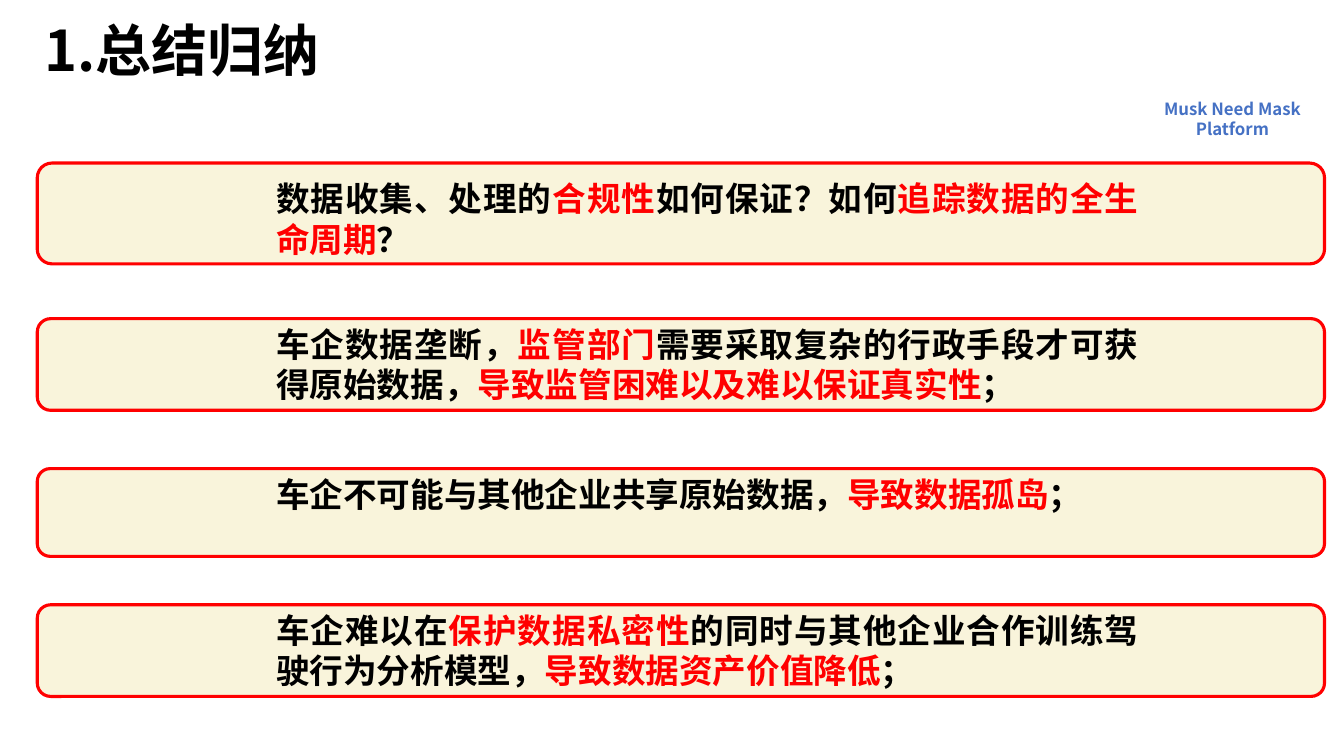
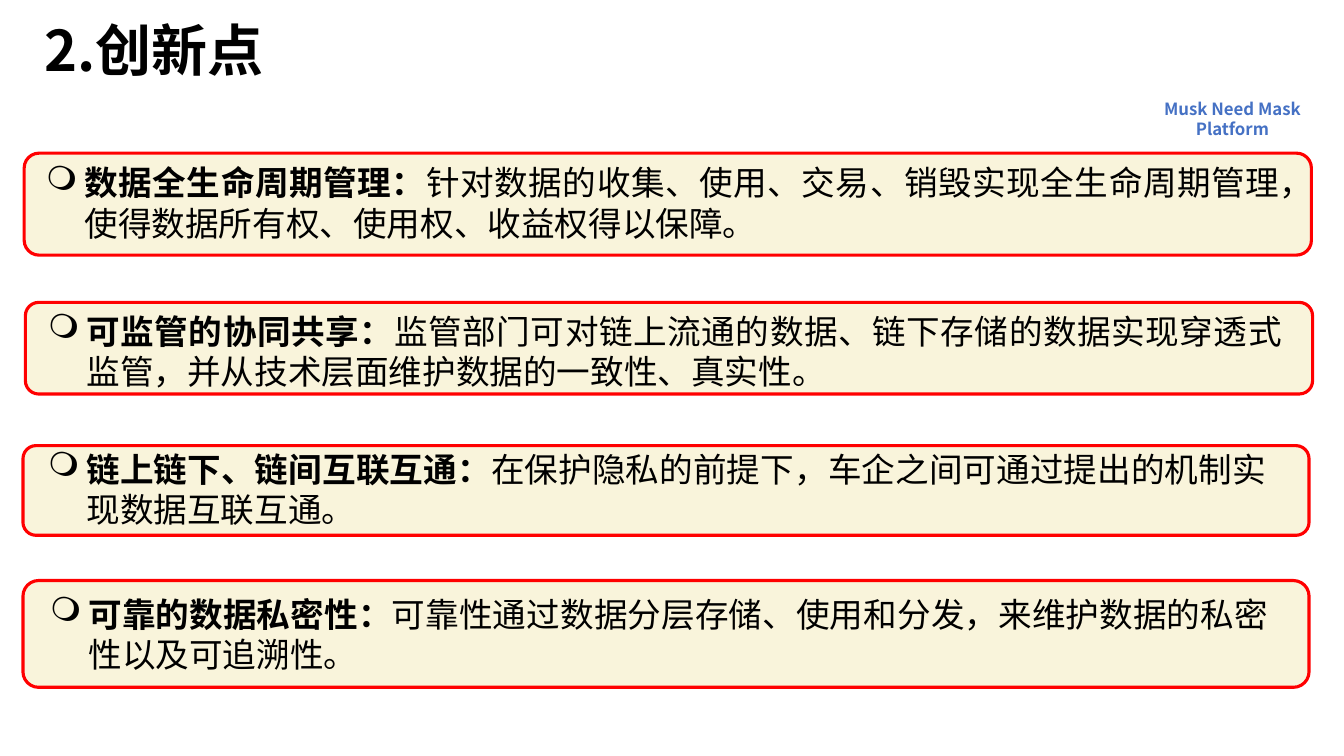
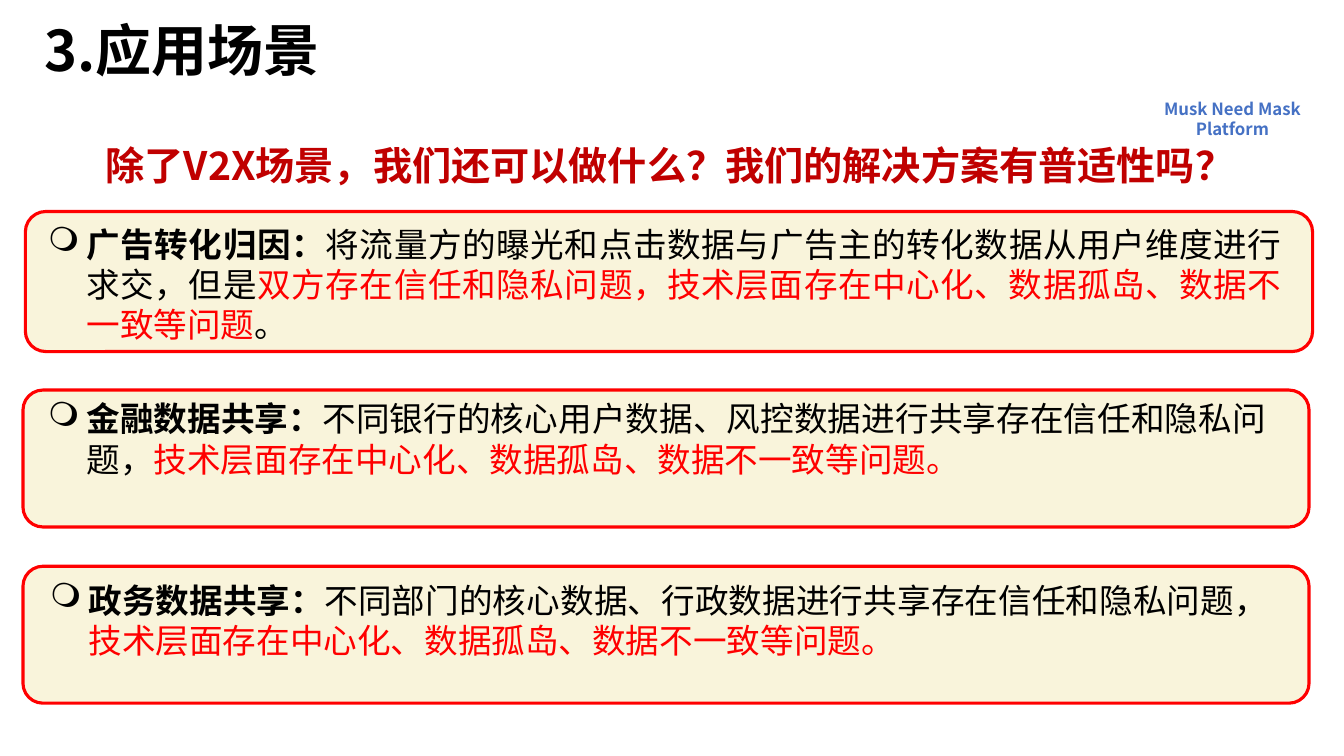
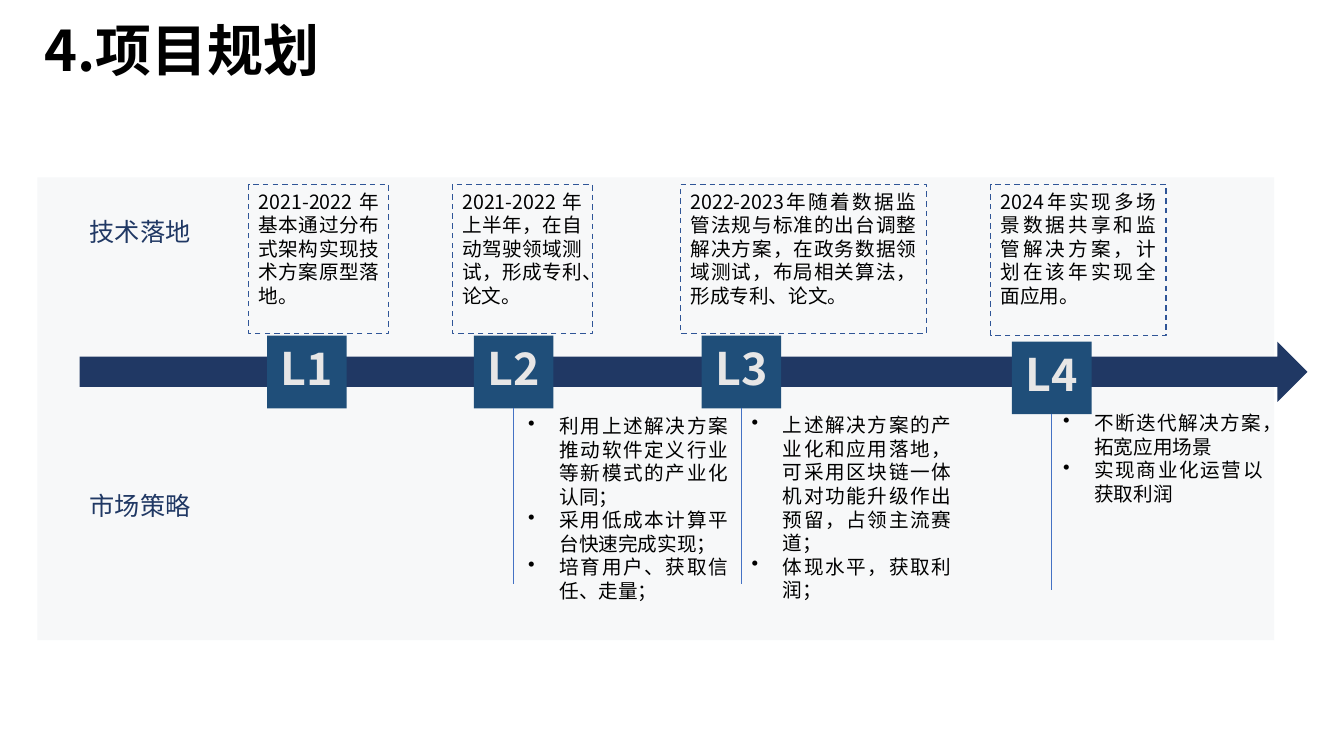
import dataclasses

import lxml.etree
import pptx
import pptx.dml.color
import pptx.enum.dml
import pptx.enum.shapes
import pptx.enum.text
import pptx.oxml.ns
import pptx.util

Cm = pptx.util.Cm
Pt = pptx.util.Pt
qn = pptx.oxml.ns.qn
ALIGN = pptx.enum.text.PP_ALIGN
ANCHOR = pptx.enum.text.MSO_ANCHOR
FIT = pptx.enum.text.MSO_AUTO_SIZE
PRESET = pptx.enum.shapes.MSO_SHAPE


@dataclasses.dataclass(frozen=True)
class Theme:
    font: str = "Noto Sans CJK SC"
    ink: str = "000000"
    alert: str = "FF0000"
    heading: str = "C00000"
    tag: str = "4571C4"
    card: str = "F9F4DB"
    panel: str = "F7F8F9"
    navy: str = "203864"
    milestone: str = "1F4E79"
    milestone_text: str = "E7E6E6"
    dash: str = "2F5597"
    stem: str = "4472C4"
    title_size: int = 40
    milestone_size: int = 32
    heading_size: int = 28
    body_size: int = 24
    label_size: int = 18
    note_size: int = 14
    tag_size: int = 12


THEME = Theme()
STYLES = {
    "title": (THEME.title_size, True, THEME.ink),
    "tag": (THEME.tag_size, True, THEME.tag),
    "heading": (THEME.heading_size, True, THEME.heading),
    "strong": (THEME.body_size, True, THEME.ink),
    "strong_alert": (THEME.body_size, True, THEME.alert),
    "body": (THEME.body_size, False, THEME.ink),
    "body_alert": (THEME.body_size, False, THEME.alert),
    "label": (THEME.label_size, False, THEME.navy),
    "note": (THEME.note_size, False, THEME.ink),
    "milestone": (THEME.milestone_size, True, THEME.milestone_text),
}
JUSTIFIED = {"alignment": ALIGN.JUSTIFY}
CENTERED = {"alignment": ALIGN.CENTER}


def rgb(colour):
    return pptx.dml.color.RGBColor.from_string(colour)


def apply(target, values):
    for name, value in values.items():
        setattr(target, name, value)


def set_indent(para, left, first=0.0, bullet=None):
    properties = para._p.get_or_add_pPr()
    properties.set("marL", str(Cm(left)))
    properties.set("indent", str(Cm(first)))
    if bullet:
        lxml.etree.SubElement(properties, qn("a:buChar")).set("char", bullet)


def add_span(para, text, style):
    size, bold, colour = STYLES[style]
    span = para.add_run()
    span.text = text
    apply(span.font, {"size": Pt(size), "bold": bold, "name": THEME.font})
    span.font.color.rgb = rgb(colour)
    east_asian = lxml.etree.SubElement(span._r.get_or_add_rPr(), qn("a:ea"))
    east_asian.set("typeface", THEME.font)


def write(box, paragraphs, para_format=None, indent=None, **frame_format):
    frame = box.text_frame
    apply(frame, {"word_wrap": True, "vertical_anchor": ANCHOR.TOP, **frame_format})
    for index, spans in enumerate(paragraphs):
        para = frame.add_paragraph() if index else frame.paragraphs[0]
        apply(para, para_format or {})
        if indent:
            set_indent(para, *indent)
        for text, style in spans:
            add_span(para, text, style)


def add_text(page, area, paragraphs, **formats):
    box = page.shapes.add_textbox(*map(Cm, area))
    write(box, paragraphs, **formats)
    return box


def add_block(page, preset, area, fill=None, line=None, width=1.0):
    block = page.shapes.add_shape(preset, *map(Cm, area))
    block.shadow.inherit = False
    if fill:
        block.fill.solid()
        block.fill.fore_color.rgb = rgb(fill)
    else:
        block.fill.background()
    if line:
        block.line.color.rgb = rgb(line)
        block.line.width = Pt(width)
    else:
        block.line.fill.background()
    return block


def add_card(page, area):
    card = add_block(page, PRESET.ROUNDED_RECTANGLE, area, THEME.card, THEME.alert, 2.25)
    card.adjustments[0] = 0.146


def add_bullet_card(page, card_area, text_area, spans):
    add_card(page, card_area)
    add_text(page, text_area, [spans], para_format=JUSTIFIED,
             indent=(1.55, -0.97, "❍"), auto_size=FIT.SHAPE_TO_FIT_TEXT)


def add_page(deck, title, tagged=True):
    page = deck.slides.add_slide(deck.slide_layouts[6])
    add_text(page, (0.94, 0.66, 24.03, 1.37), [[(title, "title")]],
             para_format={"line_spacing": 0.9}, vertical_anchor=ANCHOR.MIDDLE,
             margin_left=Cm(0.18), margin_right=Cm(0.18),
             margin_top=Cm(0.1), margin_bottom=Cm(0.1))
    if tagged:
        add_text(page, (28.24, 2.36, 5.64, 0.76), [[("Musk Need Mask Platform", "tag")]],
                 para_format=CENTERED, auto_size=FIT.SHAPE_TO_FIT_TEXT)
    return page


def add_milestone(page, name, left, top):
    box = add_block(page, PRESET.RECTANGLE, (left, top, 2.01, 1.83), THEME.milestone)
    write(box, [[(name, "milestone")]], para_format=CENTERED)
    return box


def add_note(page, area, text):
    box = add_block(page, PRESET.RECTANGLE, area, line=THEME.dash)
    box.line.dash_style = pptx.enum.dml.MSO_LINE.DASH
    write(box, [[(text, "note")]], para_format=JUSTIFIED)


def add_stem(page, milestone):
    middle = milestone.left + milestone.width // 2
    bottom = milestone.top + milestone.height
    stem = page.shapes.add_connector(pptx.enum.shapes.MSO_CONNECTOR.STRAIGHT,
                                     middle, bottom, middle, bottom + Cm(4.42))
    stem.begin_connect(milestone, 2)
    stem.line.color.rgb = rgb(THEME.stem)
    stem.line.width = Pt(0.5)
    lxml.etree.SubElement(stem._element.spPr, qn("a:effectLst"))


def add_summary(deck):
    page = add_page(deck, "1.总结归纳")
    cards = [
        (4.11, 2.54, 4.37, True, ["数据收集、处理的", "合规性", "如何保证？如何", "追踪数据的全生命周期", "？"]),
        (8.03, 2.31, 8.03, True, ["车企数据垄断，", "监管部门", "需要采取复杂的行政手段才可获得原始数据，",
                                  "导致监管困难以及难以保证真实性", "；"]),
        (11.81, 2.21, 11.81, False, ["车企不可能与其他企业共享原始数据，", "导致数据孤岛", "；"]),
        (15.24, 2.31, 15.24, True, ["车企难以在", "保护数据私密性", "的同时与其他企业合作训练驾驶行为分析模型，",
                                    "导致数据资产价值降低", "；"]),
    ]
    for top, height, text_top, wraps, texts in cards:
        add_card(page, (0.94, top, 32.44, height))
        spans = [(text, "strong_alert" if index % 2 else "strong")
                 for index, text in enumerate(texts)]
        text_size = (22.23, 2.31) if wraps else (21.03, 1.27)
        add_text(page, (6.71, text_top, *text_size), [spans], para_format=JUSTIFIED,
                 word_wrap=wraps, auto_size=FIT.SHAPE_TO_FIT_TEXT)


def add_innovations(deck):
    page = add_page(deck, "2.创新点")
    cards = [
        ((0.61, 3.86, 32.44, 2.57), (0.33, 3.96, 32.18, 2.31), "数据全生命周期管理：",
         "针对数据的收集、使用、交易、销毁实现全生命周期管理，使得数据所有权、使用权、收益权得以保障。"),
        ((0.64, 7.62, 32.44, 2.31), (0.38, 7.7, 32.18, 2.31), "可监管的协同共享：",
         "监管部门可对链上流通的数据、链下存储的数据实现穿透式监管，并从技术层面维护数据的一致性、真实性。"),
        ((0.58, 11.23, 32.41, 2.26), (0.38, 11.18, 31.78, 2.31), "链上链下、链间互联互通：",
         "在保护隐私的前提下，车企之间可通过提出的机制实现数据互联互通。"),
        ((0.58, 14.63, 32.41, 2.69), (0.43, 14.83, 31.78, 2.31), "可靠的数据私密性：",
         "可靠性通过数据分层存储、使用和分发，来维护数据的私密性以及可追溯性。"),
    ]
    for card_area, text_area, lead, body in cards:
        add_bullet_card(page, card_area, text_area, [(lead, "strong"), (body, "body")])


def add_scenarios(deck):
    page = add_page(deck, "3.应用场景")
    add_text(page, (1.8, 2.84, 29.69, 1.78),
             [[("除了V2X场景，我们还可以做什么？我们的解决方案有普适性吗？", "heading")]],
             para_format={"line_spacing": 1.5}, indent=(0.61,),
             word_wrap=False, auto_size=FIT.SHAPE_TO_FIT_TEXT)
    shared_problem = ("技术层面存在中心化、数据孤岛、数据不一致等问题。", "body_alert")
    cards = [
        ((0.64, 5.33, 32.44, 3.53), (0.38, 5.51, 32.18, 3.33), [
            ("广告转化归因：", "strong"),
            ("将流量方的曝光和点击数据与广告主的转化数据从用户维度进行求交，但是", "body"),
            ("双方存在信任和隐私问题，技术层面存在中心化、数据孤岛、数据不一致等问题", "body_alert"),
            ("。", "body")]),
        ((0.58, 9.83, 32.41, 3.45), (0.38, 9.91, 31.78, 2.31), [
            ("金融数据共享：", "strong"),
            ("不同银行的核心用户数据、风控数据进行共享存在信任和隐私问题，", "body"),
            shared_problem]),
        ((0.58, 14.27, 32.41, 3.45), (0.43, 14.48, 31.78, 2.31), [
            ("政务数据共享：", "strong"),
            ("不同部门的核心数据、行政数据进行共享存在信任和隐私问题，", "body"),
            shared_problem]),
    ]
    for card in cards:
        add_bullet_card(page, *card)


def add_plan(deck):
    page = add_page(deck, "4.项目规划", tagged=False)
    add_block(page, PRESET.RECTANGLE, (0.94, 4.47, 31.17, 11.66), THEME.panel)
    for label, top in (("技术落地", 5.33), ("市场策略", 12.22)):
        add_text(page, (2.01, top, 3.76, 1.22), [[(label, "label")]])
    add_block(page, PRESET.RIGHT_ARROW, (2.01, 8.61, 30.94, 1.52), THEME.navy)
    stages = [
        ("L1", 6.73, 8.46, (6.27, 4.65, 3.53, 3.76),
         "2021-2022年基本通过分布式架构实现技术方案原型落地。", None, []),
        ("L2", 11.94, 8.46, (11.4, 4.65, 3.53, 3.76),
         "2021-2022年上半年，在自动驾驶领域测试，形成专利、论文。", (13.06, 10.31),
         ["利用上述解决方案推动软件定义行业等新模式的产业化认同；",
          "采用低成本计算平台快速完成实现；",
          "培育用户、获取信任、走量；"]),
        ("L3", 17.68, 8.46, (17.15, 4.65, 6.2, 3.76),
         "2022-2023年随着数据监管法规与标准的出台调整解决方案，在政务数据领域测试，布局相关算法，形成专利、论文。",
         (18.69, 10.29),
         ["上述解决方案的产业化和应用落地，可采用区块链一体机对功能升级作出预留，占领主流赛道；",
          "体现水平，获取利润；"]),
        ("L4", 25.5, 8.61, (24.97, 4.65, 4.42, 3.81),
         "2024年实现多场景数据共享和监管解决方案，计划在该年实现全面应用。", (26.54, 10.24),
         ["不断迭代解决方案，拓宽应用场景", "实现商业化运营以获取利润"]),
    ]
    for name, left, top, note_area, note, strategy_corner, strategies in stages:
        milestone = add_milestone(page, name, left, top)
        add_note(page, note_area, note)
        if strategies:
            add_stem(page, milestone)
            add_text(page, (*strategy_corner, 5.54, 5.79),
                     [[(text, "note")] for text in strategies],
                     para_format=JUSTIFIED, indent=(0.79, -0.79, "•"))


def main():
    deck = pptx.Presentation()
    apply(deck, {"slide_width": Cm(33.87), "slide_height": Cm(19.05)})
    for add_content in (add_summary, add_innovations, add_scenarios, add_plan):
        add_content(deck)
    deck.save("out.pptx")


if __name__ == "__main__":
    main()
